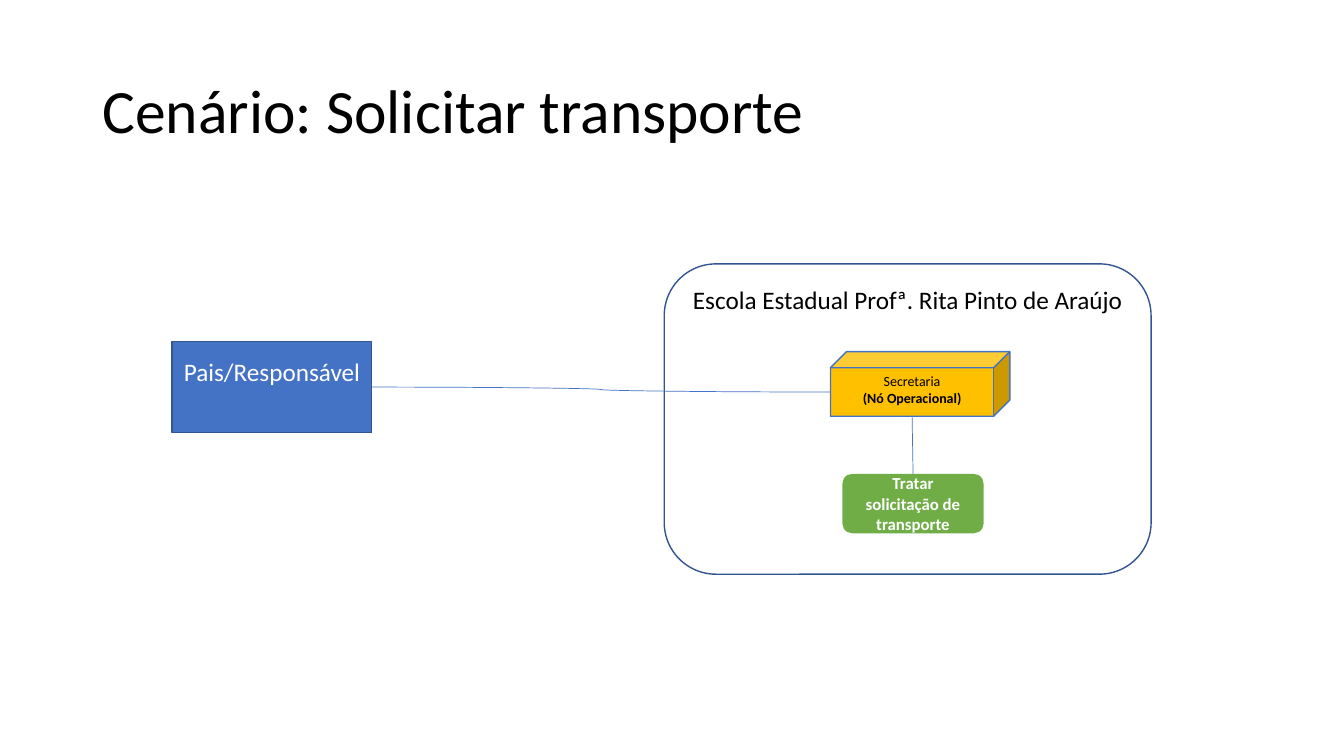
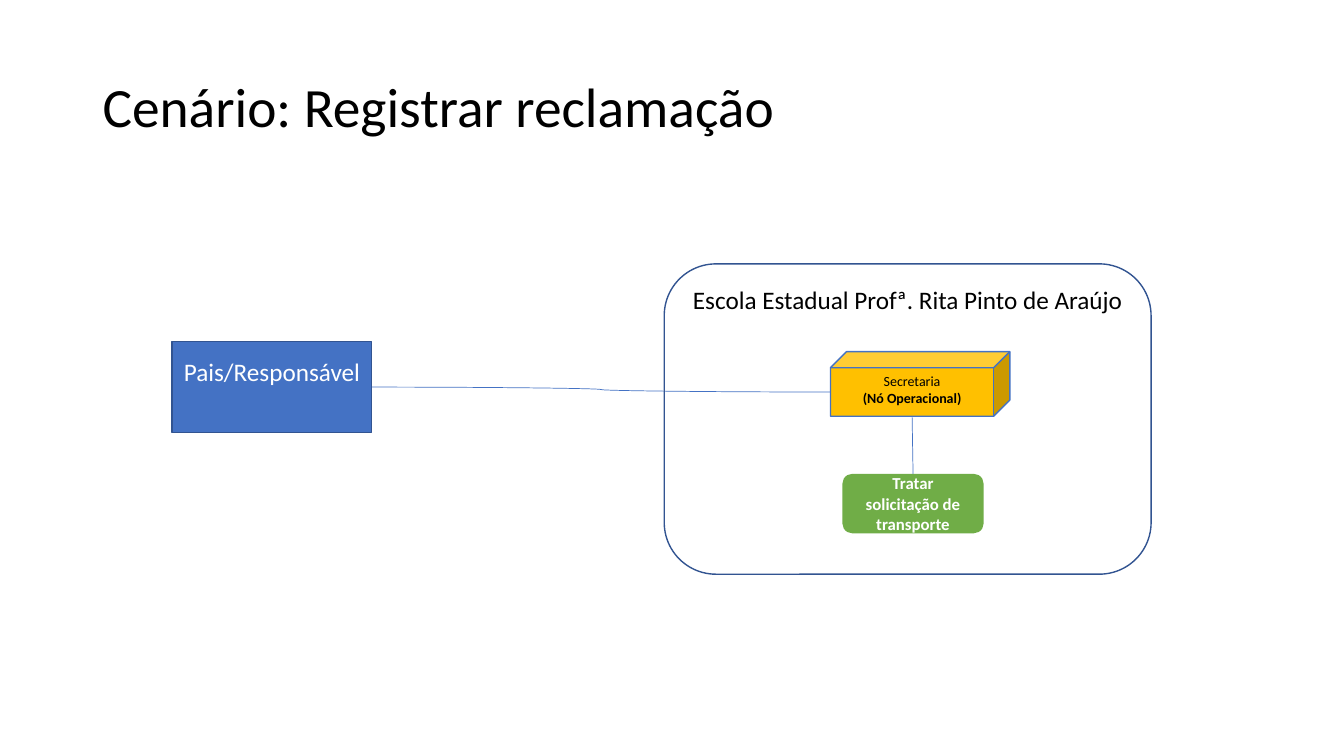
from dataclasses import dataclass
from typing import Optional

from lxml import etree
from pptx import Presentation
from pptx.dml.color import RGBColor
from pptx.enum.shapes import MSO_CONNECTOR, MSO_SHAPE
from pptx.enum.text import MSO_ANCHOR, MSO_AUTO_SIZE, PP_ALIGN
from pptx.oxml.ns import qn
from pptx.util import Cm, Pt

RECT, ROUNDED, CUBE = MSO_SHAPE.RECTANGLE, MSO_SHAPE.ROUNDED_RECTANGLE, MSO_SHAPE.CUBE
STRAIGHT, CURVE = MSO_CONNECTOR.STRAIGHT, MSO_CONNECTOR.CURVE
TOP, MIDDLE = MSO_ANCHOR.TOP, MSO_ANCHOR.MIDDLE
LEFT, CENTER = PP_ALIGN.LEFT, PP_ALIGN.CENTER
TOP_SIDE, RIGHT_SIDE = 0, 3

FONT = "Calibri"
BLACK, WHITE = "000000", "FFFFFF"
BLUE, DARK_BLUE, AMBER, GREEN = "4472C4", "325491", "FFC000", "70AD47"
TITLE_ONLY = 5
CUBE_DEPTH = 0.25  # share of the cube's height


@dataclass(frozen=True)
class Line:
    text: str
    bold: bool = False


@dataclass(frozen=True)
class Node:
    """A labelled shape; lengths in centimetres."""
    kind: int
    left: float
    top: float
    width: float
    height: float
    lines: tuple[Line, ...]
    size: float
    text_color: str
    fill: Optional[str] = None
    outline: Optional[str] = None
    anchor: MSO_ANCHOR = MIDDLE
    bottom_inset: float = 0.13


@dataclass(frozen=True)
class Scenario:
    title: str
    title_size: float
    title_top: float


PARENTS = Node(RECT, 4.34, 8.61, 5.03, 2.29, (Line("Pais/Responsável"),),
               18, WHITE, BLUE, DARK_BLUE, bottom_inset=0.9)
SCHOOL = Node(ROUNDED, 16.74, 6.65, 12.27, 7.82,
              (Line("Escola Estadual Profª. Rita Pinto de Araújo"),),
              18, BLACK, outline=DARK_BLUE, anchor=TOP)
OFFICE = Node(CUBE, 20.93, 8.86, 4.52, 1.63,
              (Line("Secretaria"), Line("(Nó Operacional)", bold=True)),
              10, BLACK, AMBER, BLUE, anchor=TOP)
TASK = Node(ROUNDED, 21.23, 11.94, 3.56, 1.5,
            (Line("Tratar solicitação de transporte", bold=True),),
            12, WHITE, GREEN)

SCENARIOS = (
    Scenario("Cenário: Solicitar transporte", 44, 1.02),
    Scenario("Cenário: Registrar reclamação", 39.6, 0.92),
)


def rgb(color: str) -> RGBColor:
    return RGBColor.from_string(color)


def write(paragraph, text: str, *, size: float, color: str = BLACK,
          bold: bool = False, align: PP_ALIGN = CENTER) -> None:
    paragraph.text = text
    paragraph.alignment = align
    font = paragraph.font
    font.name, font.size, font.bold = FONT, Pt(size), bold
    font.color.rgb = rgb(color)


def add_title(slide, scenario: Scenario) -> None:
    title = slide.shapes.title
    title.left, title.top = Cm(2.33), Cm(scenario.title_top)
    title.width, title.height = Cm(29.21), Cm(3.68)
    frame = title.text_frame
    frame.word_wrap = True
    frame.auto_size = MSO_AUTO_SIZE.NONE
    frame.vertical_anchor = MIDDLE
    write(frame.paragraphs[0], scenario.title, size=scenario.title_size, align=LEFT)
    frame.paragraphs[0].line_spacing = 0.9


def add_node(slide, node: Node):
    shape = slide.shapes.add_shape(node.kind, Cm(node.left), Cm(node.top),
                                   Cm(node.width), Cm(node.height))
    shape.shadow.inherit = False
    if node.fill:
        shape.fill.solid()
        shape.fill.fore_color.rgb = rgb(node.fill)
    else:
        shape.fill.background()
    if node.outline:
        shape.line.color.rgb = rgb(node.outline)
        shape.line.width = Pt(1)
    else:
        shape.line.fill.background()

    frame = shape.text_frame
    frame.word_wrap = True
    frame.vertical_anchor = node.anchor
    frame.margin_bottom = Cm(node.bottom_inset)
    for index, line in enumerate(node.lines):
        paragraph = frame.add_paragraph() if index else frame.paragraphs[0]
        write(paragraph, line.text, size=node.size, color=node.text_color,
              bold=line.bold)
    return shape


def add_link(slide, kind: MSO_CONNECTOR, start: tuple[float, float],
             end: tuple[float, float]):
    link = slide.shapes.add_connector(kind, *map(Cm, start + end))
    link.line.color.rgb = rgb(BLUE)
    link.line.width = Pt(0.5)
    etree.SubElement(link._element.spPr, qn("a:effectLst"))
    return link


def add_diagram(slide) -> None:
    office = OFFICE
    depth = office.height * CUBE_DEPTH
    office_left = (office.left, office.top + (office.height + depth) / 2)
    office_bottom = (office.left + (office.width - depth) / 2,
                     office.top + office.height)
    parents_right = (PARENTS.left + PARENTS.width, PARENTS.top + PARENTS.height / 2)
    task_top = (TASK.left + TASK.width / 2, TASK.top)

    # Office, its task and the people who ask
    add_node(slide, office)
    task = add_node(slide, TASK)
    parents = add_node(slide, PARENTS)
    request = add_link(slide, CURVE, parents_right, office_left)
    request.begin_connect(parents, RIGHT_SIDE)

    # School boundary and the link inside it
    add_node(slide, SCHOOL)
    handling = add_link(slide, STRAIGHT, office_bottom, task_top)
    handling.end_connect(task, TOP_SIDE)


def main() -> None:
    deck = Presentation()
    deck.slide_width, deck.slide_height = Cm(33.87), Cm(19.05)
    for scenario in SCENARIOS:
        slide = deck.slides.add_slide(deck.slide_layouts[TITLE_ONLY])
        add_title(slide, scenario)
        add_diagram(slide)
    deck.save("out.pptx")


if __name__ == "__main__":
    main()
